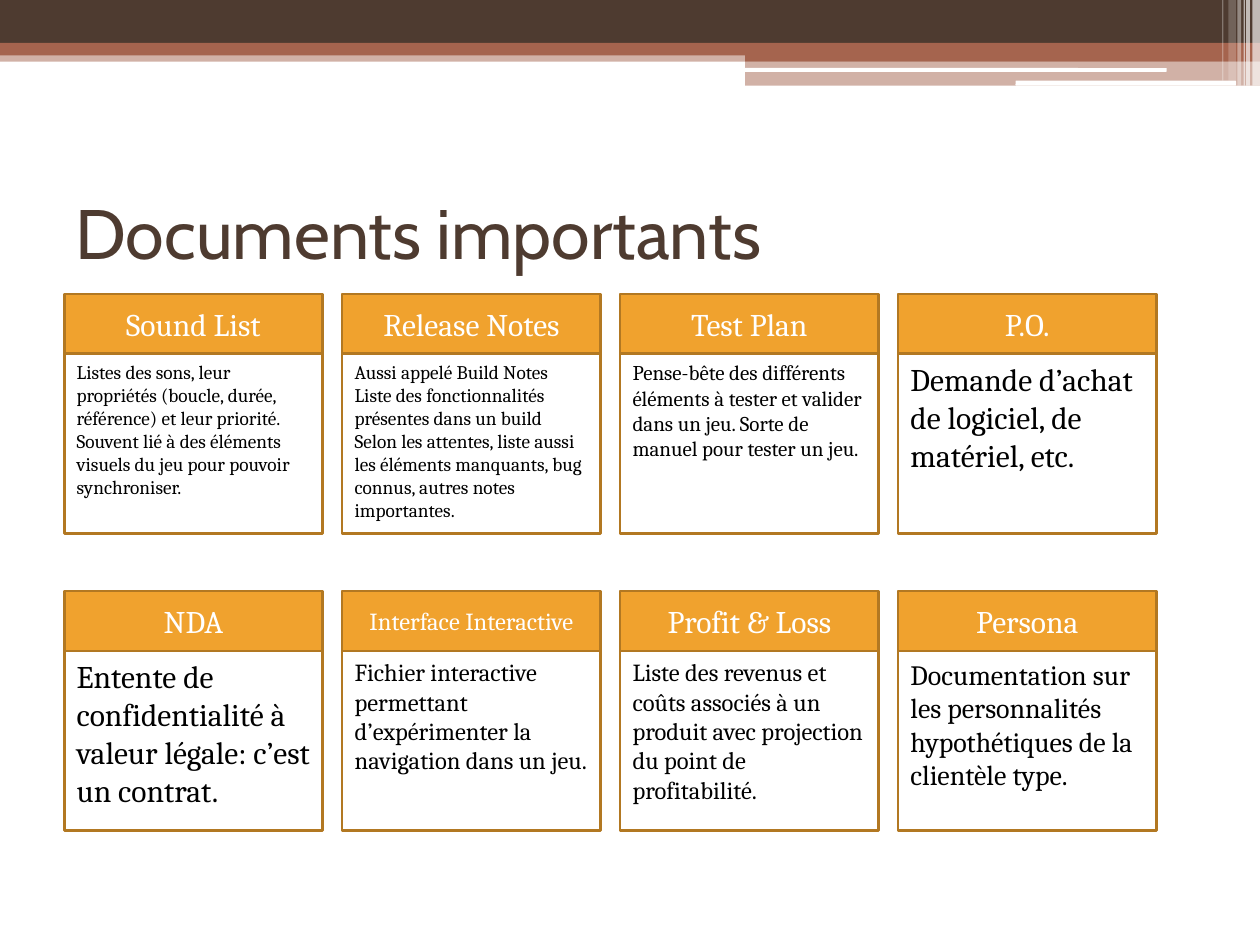
from dataclasses import dataclass

from lxml.etree import SubElement
from pptx import Presentation
from pptx.dml.color import RGBColor
from pptx.enum.shapes import MSO_SHAPE
from pptx.enum.text import MSO_ANCHOR, PP_ALIGN
from pptx.oxml.ns import qn
from pptx.util import Inches, Pt


@dataclass(frozen=True)
class Theme:
    brown: str = "4E3B30"
    rust: str = "A5644E"
    orange: str = "F0A22E"
    border: str = "B27822"
    white: str = "FFFFFF"
    black: str = "000000"
    title_font: str = "Cabin"
    body_font: str = "Cambria"
    title_size: int = 40
    heading_size: int = 18
    border_width: float = 1.5


THEME = Theme()


@dataclass(frozen=True)
class Box:
    left: float
    top: float
    width: float
    height: float

    def share(self, x, y, w, h):
        """A box inside this one, given in percent of its size."""
        return Box(self.left + self.width * x / 100, self.top + self.height * y / 100,
                   self.width * w / 100, self.height * h / 100)

    def cell(self, col, row, cols, rows, col_gap, row_gap):
        """A grid cell; gaps are shares of the cell's own size."""
        w = self.width / (cols + (cols - 1) * col_gap)
        h = self.height / (rows + (rows - 1) * row_gap)
        return Box(self.left + col * w * (1 + col_gap),
                   self.top + row * h * (1 + row_gap), w, h)

    def emu(self):
        return [round(v) for v in (self.left, self.top, self.width, self.height)]


# Header bands: percent of the slide (x, y, w, h), colour, opacity
BANDS = [
    ((0, 5.33, 100, 1.2), THEME.rust, 50),
    ((0, 0, 100, 4.53), THEME.brown, 100),
    ((0, 4.53, 100, 1.33), THEME.rust, 100),
    ((59.15, 5.2, 40.85, 1.3), THEME.rust, 100),
    ((59.15, 6.4, 40.85, 2.67), THEME.rust, 50),
]
PILLS = [(59.1, 7.2, 33.5, 0.4), (80.6, 8.53, 17.5, 0.53)]
# Stripes at the right edge: x, width, height, opacity
STRIPES = [
    (99.4, 0.6, 9.07, 65), (98.9, 0.3, 9.07, 65), (98.7, 0.1, 9.07, 60),
    (98.2, 0.3, 9.07, 40), (97.5, 0.6, 8.53, 20), (97, 0.1, 8.53, 30),
]

# Heading, heading size, paragraphs, body size
CARDS = [
    ("Sound List", THEME.heading_size, [
        "Listes des sons, leur propriétés (boucle, durée, référence) et leur priorité. "
        "Souvent lié à des éléments visuels du jeu pour pouvoir synchroniser."], 11),
    ("Release Notes", THEME.heading_size, [
        "Aussi appelé Build Notes",
        "Liste des fonctionnalités présentes dans un build",
        "Selon les attentes, liste aussi les éléments manquants, bug connus, "
        "autres notes importantes."], 11),
    ("Test Plan", THEME.heading_size, [
        "Pense-bête des différents éléments à tester et valider dans un jeu. "
        "Sorte de manuel pour tester un jeu."], 12),
    ("P.O.", THEME.heading_size, ["Demande d’achat de logiciel, de matériel, etc."], 18),
    ("NDA", THEME.heading_size, [
        "Entente de confidentialité à valeur légale: c’est un contrat."], 18),
    ("Interface Interactive", 14, [
        "Fichier interactive permettant d’expérimenter la navigation dans un jeu."], 14),
    ("Profit & Loss", THEME.heading_size, [
        "Liste des revenus et coûts associés à un produit avec projection du point "
        "de profitabilité."], 14),
    ("Persona", THEME.heading_size, [
        "Documentation sur les personnalités hypothétiques de la clientèle type."], 16),
]


def rgb(color):
    return RGBColor.from_string(color)


def apply(target, formats):
    for name, value in formats.items():
        setattr(target, name, value)


def write(frame, paragraphs, font, size, color, align, anchor):
    apply(frame, {"word_wrap": True, "vertical_anchor": anchor})
    frame.text = "\n".join(paragraphs)
    for paragraph in frame.paragraphs:
        paragraph.alignment = align
        apply(paragraph.font, {"name": font, "size": Pt(size)})
        paragraph.font.color.rgb = rgb(color)


def add_block(slide, box, fill, opacity=100, border=None, kind=MSO_SHAPE.RECTANGLE):
    block = slide.shapes.add_shape(kind, *box.emu())
    block.shadow.inherit = False
    if fill:
        block.fill.solid()
        block.fill.fore_color.rgb = rgb(fill)
        if opacity < 100:
            color = block.element.spPr.find(qn("a:solidFill"))[0]
            SubElement(color, qn("a:alpha")).set("val", str(opacity * 1000))
    else:
        block.fill.background()
    if border:
        block.line.color.rgb = rgb(border)
        block.line.width = Pt(THEME.border_width)
    else:
        block.line.fill.background()
    return block


def add_header(slide, page):
    for band, color, opacity in BANDS:
        add_block(slide, page.share(*band), color, opacity)
    for pill in PILLS:
        add_block(slide, page.share(*pill), THEME.white, kind=MSO_SHAPE.ROUNDED_RECTANGLE)
    for x, width, height, opacity in STRIPES:
        add_block(slide, page.share(x, 0, width, height), THEME.white, opacity)


def add_title(slide, box, text):
    title = slide.shapes.title
    apply(title, dict(zip(("left", "top", "width", "height"), box.emu())))
    write(title.text_frame, [text], THEME.title_font, THEME.title_size, THEME.brown,
          PP_ALIGN.LEFT, MSO_ANCHOR.MIDDLE)


def add_card(slide, box, heading, heading_size, paragraphs, body_size):
    head = add_block(slide, box.share(0, 0, 100, 25), THEME.orange, border=THEME.border)
    write(head.text_frame, [heading], THEME.body_font, heading_size, THEME.white,
          PP_ALIGN.CENTER, MSO_ANCHOR.MIDDLE)
    body = add_block(slide, box.share(0, 25, 100, 75), None, border=THEME.border)
    write(body.text_frame, paragraphs, THEME.body_font, body_size, THEME.black,
          PP_ALIGN.LEFT, MSO_ANCHOR.TOP)


def add_cards(slide, box, columns=4, rows=2):
    for index, card in enumerate(CARDS):
        row, column = divmod(index, columns)
        add_card(slide, box.cell(column, row, columns, rows, 0.075, 0.24), *card)


def main():
    presentation = Presentation()
    apply(presentation, {"slide_width": Inches(10), "slide_height": Inches(7.5)})
    page = Box(0, 0, presentation.slide_width, presentation.slide_height)
    slide = presentation.slides.add_slide(presentation.slide_layouts.get_by_name("Title Only"))
    add_header(slide, page)
    add_title(slide, page.share(5, 16.67, 90, 15.6), "Documents importants")
    add_cards(slide, page.share(5.1, 31.1, 86.7, 56.8))
    presentation.save("out.pptx")


if __name__ == "__main__":
    main()
